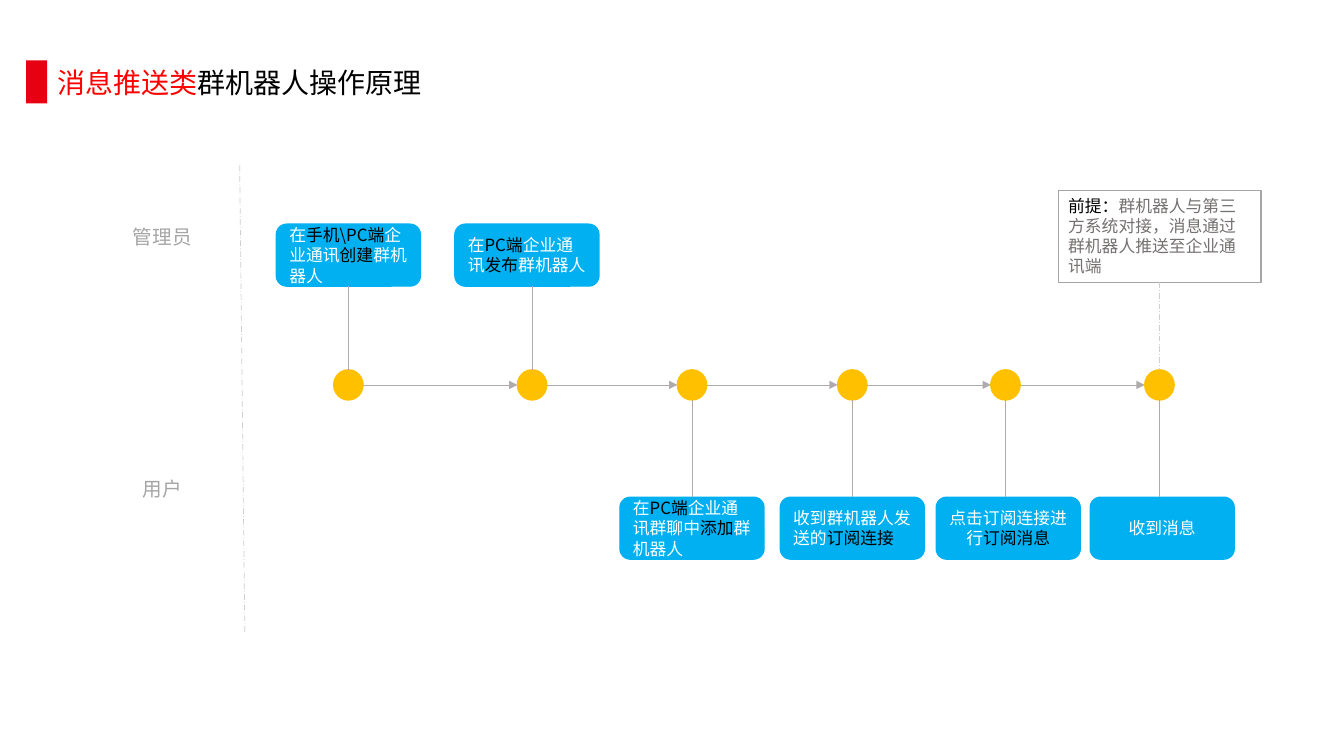
from dataclasses import dataclass
from itertools import pairwise

from lxml.etree import SubElement
from pptx import Presentation
from pptx.dml.color import RGBColor
from pptx.enum.dml import MSO_LINE
from pptx.enum.shapes import MSO_CONNECTOR, MSO_SHAPE
from pptx.enum.text import MSO_ANCHOR, MSO_AUTO_SIZE, PP_ALIGN
from pptx.oxml.ns import qn
from pptx.util import Cm, Pt


@dataclass(frozen=True)
class Theme:
    font: str = "Noto Sans CJK SC"
    note_font: str = "Calibri"
    title_size: int = 20
    lane_size: int = 14
    body_size: int = 12
    black: str = "000000"
    white: str = "FFFFFF"
    red: str = "FF0000"
    marker: str = "E60012"
    card: str = "00B0F0"
    node: str = "FFC000"
    lane: str = "A5A5A5"
    note: str = "767171"
    arrow: str = "AFABAB"
    divider: str = "D0CECE"


@dataclass(frozen=True)
class Box:
    """A region of the slide, in centimetres."""
    left: float
    top: float
    width: float
    height: float

    def lengths(self):
        return Cm(self.left), Cm(self.top), Cm(self.width), Cm(self.height)


@dataclass(frozen=True)
class Step:
    node: float  # centre of the node from the left of the timeline
    text: str
    by_admin: bool = False
    shift: float = 0  # of the card's centre from the node's centre
    align: PP_ALIGN = PP_ALIGN.LEFT


THEME = Theme()
NODE_WIDTH, NODE_HEIGHT = 0.74, 0.76
CARD_WIDTH, CARD_HEIGHT = 3.63, 1.56
AXIS_OFFSET = 4.05  # of the line of nodes from the top of the timeline
STEPS = [
    Step(1.82, "在*手机\\PC端*企业通讯*创建*群机器人", by_admin=True),
    Step(6.45, "在*PC端*企业通讯*发布*群机器人", by_admin=True, shift=-0.13),
    Step(10.48, "在*PC端*企业通讯群聊中*添加*群机器人"),
    Step(14.52, "收到群机器人发送的*订阅连接*"),
    Step(18.38, "点击订阅连接进行*订阅消息*", shift=0.07, align=PP_ALIGN.CENTER),
    Step(22.26, "收到消息", shift=0.07, align=PP_ALIGN.CENTER),
]


def color(value):
    return RGBColor.from_string(value)


def write(shape, text, size, plain, strong=THEME.black, font=THEME.font,
          align=PP_ALIGN.LEFT, anchor=MSO_ANCHOR.MIDDLE):
    """Fill a shape with one paragraph; parts between asterisks take the strong colour."""
    frame = shape.text_frame
    frame.word_wrap = True
    frame.vertical_anchor = anchor
    paragraph = frame.paragraphs[0]
    paragraph.alignment = align
    paragraph.font.size = Pt(size)
    paragraph.font.name = font
    for index, part in enumerate(text.split("*")):
        if part:
            run = paragraph.add_run()
            run.text = part
            run.font.color.rgb = color(strong if index % 2 else plain)


def add_block(slide, kind, box, fill=None, line=None, line_width=1):
    shape = slide.shapes.add_shape(kind, *box.lengths())
    shape.shadow.inherit = False
    if fill:
        shape.fill.solid()
        shape.fill.fore_color.rgb = color(fill)
    else:
        shape.fill.background()
    if line:
        shape.line.color.rgb = color(line)
        shape.line.width = Pt(line_width)
    else:
        shape.line.fill.background()
    return shape


def add_line(slide, start, end, line=THEME.arrow, dash=None, arrow=False):
    connector = slide.shapes.add_connector(
        MSO_CONNECTOR.STRAIGHT, *(Cm(length) for length in (*start, *end)))
    connector.line.color.rgb = color(line)
    connector.line.width = Pt(0.5)
    if dash:
        connector.line.dash_style = dash
    properties = connector.element.spPr
    if arrow:
        SubElement(properties.find(qn("a:ln")), qn("a:tailEnd"), type="triangle")
    SubElement(properties, qn("a:effectLst"))
    return connector


def add_title(slide, box):
    marker_width = 0.53
    add_block(slide, MSO_SHAPE.RECTANGLE,
              Box(box.left, box.top, marker_width, 1.09), THEME.marker)
    text_box = slide.shapes.add_textbox(*Box(
        box.left + marker_width, box.top, box.width - marker_width, box.height).lengths())
    write(text_box, "*消息推送类*群机器人操作原理", THEME.title_size, THEME.black,
          THEME.red, align=PP_ALIGN.JUSTIFY, anchor=MSO_ANCHOR.TOP)
    text_box.text_frame.word_wrap = False
    text_box.text_frame.auto_size = MSO_AUTO_SIZE.SHAPE_TO_FIT_TEXT


def add_lanes(slide, box):
    """Lane names with the dashed divider at their right."""
    for name, offset in (("管理员", 1.06), ("用户", 7.41)):
        label = slide.shapes.add_textbox(
            *Box(box.left, box.top + offset, 2.74, 1.45).lengths())
        write(label, name, THEME.lane_size, THEME.lane, align=PP_ALIGN.CENTER)
    right = box.left + box.width
    add_line(slide, (right - 0.13, box.top), (right, box.top + box.height),
             THEME.divider, MSO_LINE.LONG_DASH_DOT)


def add_timeline(slide, box):
    """Nodes along an axis, admin cards at the top and user cards at the bottom."""
    axis = box.top + AXIS_OFFSET
    for step, following in pairwise(STEPS):
        add_line(slide, (box.left + step.node + NODE_WIDTH / 2, axis),
                 (box.left + following.node - NODE_WIDTH / 2, axis), arrow=True)
    for step in STEPS:
        center = box.left + step.node
        add_block(slide, MSO_SHAPE.OVAL,
                  Box(center - NODE_WIDTH / 2, axis - NODE_HEIGHT / 2,
                      NODE_WIDTH, NODE_HEIGHT), THEME.node, THEME.node)
        top = box.top if step.by_admin else box.top + box.height - CARD_HEIGHT
        card = add_block(slide, MSO_SHAPE.ROUNDED_RECTANGLE,
                         Box(center + step.shift - CARD_WIDTH / 2, top,
                             CARD_WIDTH, CARD_HEIGHT), THEME.card, THEME.card)
        write(card, step.text, THEME.body_size, THEME.white, align=step.align)
        if step.by_admin:
            start, end, side = axis - NODE_HEIGHT / 2, top + CARD_HEIGHT, 2
        else:
            start, end, side = axis + NODE_HEIGHT / 2, top, 0
        stem = add_line(slide, (center, start), (center, end))
        if not step.shift:
            stem.end_connect(card, side)


def add_note(slide, box, line_end):
    note = add_block(slide, MSO_SHAPE.RECTANGLE, box, line=THEME.lane, line_width=0.75)
    write(note, "*前提：*群机器人与第三方系统对接，消息通过群机器人推送至企业通讯端",
          THEME.body_size, THEME.note, font=THEME.note_font, anchor=MSO_ANCHOR.TOP)
    note.text_frame.auto_size = MSO_AUTO_SIZE.SHAPE_TO_FIT_TEXT
    center = box.left + box.width / 2
    stem = add_line(slide, (center, box.top + box.height), (center, line_end),
                    THEME.divider, MSO_LINE.LONG_DASH_DOT)
    stem.begin_connect(note, 2)


def main():
    presentation = Presentation()
    presentation.slide_width, presentation.slide_height = Cm(33.87), Cm(19.05)
    slide = presentation.slides.add_slide(presentation.slide_layouts[6])
    add_title(slide, Box(0.66, 1.52, 10.31, 1.12))
    add_lanes(slide, Box(2.72, 4.17, 3.45, 11.81))
    add_timeline(slide, Box(6.96, 5.65, 24.15, 8.44))
    add_note(slide, Box(26.67, 4.8, 5.11, 2.31), 9.32)
    presentation.save("out.pptx")


if __name__ == "__main__":
    main()
